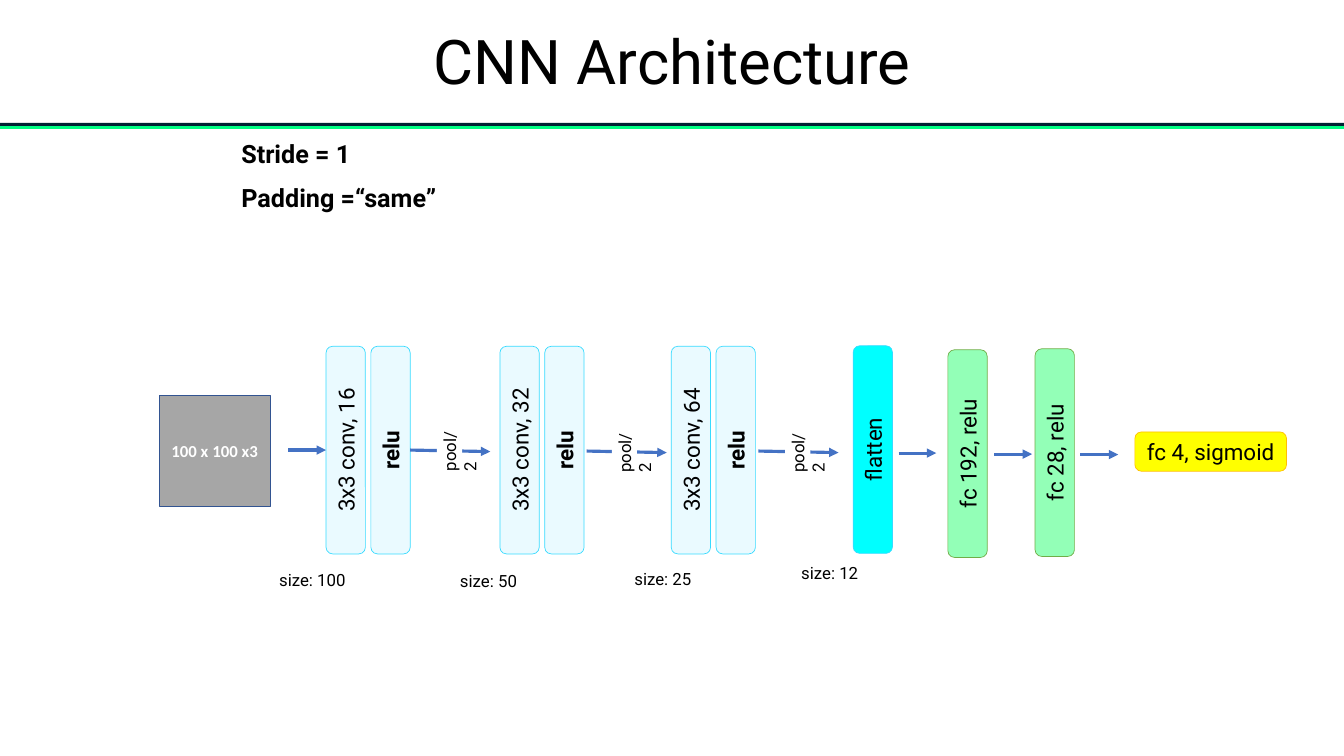
from lxml.etree import SubElement
from pptx import Presentation
from pptx.dml.color import RGBColor
from pptx.enum.shapes import MSO_CONNECTOR, MSO_SHAPE
from pptx.enum.text import MSO_ANCHOR, PP_ALIGN
from pptx.oxml.ns import qn
from pptx.util import Inches, Pt

BLOCK_W, BLOCK_H = 0.78, 4.12
CONV_Y = 8.93


def rgb(color):
    return RGBColor.from_string(color)


def add_run(p, text, size, bold=False, color="000000", font="Roboto"):
    r = p.add_run()
    r.text = text
    r.font.size = Pt(size)
    r.font.name = font
    r.font.bold = bold
    r.font.color.rgb = rgb(color)


def add_box(s, kind, x, y, w, h, fill, line=None):
    sp = s.shapes.add_shape(kind, Inches(x), Inches(y), Inches(w), Inches(h))
    sp.shadow.inherit = False
    sp.fill.solid()
    sp.fill.fore_color.rgb = rgb(fill)
    if line:
        sp.line.color.rgb = rgb(line)
        sp.line.width = Pt(1)
    else:
        sp.line.fill.background()
    return sp


def add_centered(sp, text, size, **style):
    tf = sp.text_frame
    tf.word_wrap = True
    tf.vertical_anchor = MSO_ANCHOR.MIDDLE
    p = tf.paragraphs[0]
    p.alignment = PP_ALIGN.CENTER
    add_run(p, text, size, **style)


def add_block(s, cx, cy, text, fill, line, bold=False):
    sp = add_box(s, MSO_SHAPE.ROUNDED_RECTANGLE, cx - BLOCK_H / 2, cy - BLOCK_W / 2,
                 BLOCK_H, BLOCK_W, fill, line)
    sp.rotation = 270
    add_centered(sp, text, 32, bold=bold)
    return sp


def add_label(s, x, y, w, text, rotation=0):
    sp = add_box(s, MSO_SHAPE.RECTANGLE, x, y, w, 0.5, "FFFFFF")
    sp.rotation = rotation
    tf = sp.text_frame
    tf.word_wrap = rotation != 0
    tf.vertical_anchor = MSO_ANCHOR.TOP
    p = tf.paragraphs[0]
    p.alignment = PP_ALIGN.LEFT
    add_run(p, text, 24)


def add_arrow(s, x1, y1, x2, y2, source=None, target=None):
    c = s.shapes.add_connector(MSO_CONNECTOR.STRAIGHT, 0, 0, 0, 0)
    if source is not None:
        c.begin_connect(source, 2)
    if target is not None:
        c.end_connect(target, 0)
    c.begin_x, c.begin_y = Inches(x1), Inches(y1)
    c.end_x, c.end_y = Inches(x2), Inches(y2)
    c.line.color.rgb = rgb("4472C4")
    c.line.width = Pt(4.5)
    SubElement(c.line._get_or_add_ln(), qn("a:tailEnd"), type="triangle")
    SubElement(c._element.spPr, qn("a:effectLst"))


def add_title(s, text):
    sp = s.shapes.title
    sp.left, sp.top, sp.width, sp.height = 0, 0, Inches(26.67), Inches(2.56)
    add_centered(sp, text, 88)
    sp.text_frame.paragraphs[0].line_spacing = 0.9


def add_settings(s, lines):
    tb = s.shapes.add_textbox(Inches(4.69), Inches(2.69), Inches(21.34), Inches(10.27))
    tf = tb.text_frame
    tf.word_wrap = True
    for i, text in enumerate(lines):
        p = tf.add_paragraph() if i else tf.paragraphs[0]
        if i:
            p.space_before = Pt(20)
        add_run(p, text, 36, bold=True)


def add_conv_stage(s, cx, filters):
    conv = add_block(s, cx, CONV_Y, f"3x3 conv, {filters}", "EAFAFF", "37DBFF")
    relu = add_block(s, cx + 0.89, CONV_Y, "relu", "EAFAFF", "37DBFF", bold=True)
    return conv, relu


def add_pool(s, x, y, label_x, label_y, source=None):
    add_arrow(s, x, y, x + 1.59, y + 0.03, source=source)
    add_label(s, label_x, label_y, 1.12, "pool/2", 270)


def main():
    prs = Presentation()
    prs.slide_width, prs.slide_height = Inches(26.67), Inches(15)
    s = prs.slides.add_slide(prs.slide_layouts[5])

    for y, color in [(2.5, "00FF84"), (2.44, "002333")]:
        add_box(s, MSO_SHAPE.RECTANGLE, 0, y, 26.67, 0.06, color)
    add_settings(s, ["Stride = 1", "Padding =“same”"])
    add_title(s, "CNN Architecture")

    image = add_box(s, MSO_SHAPE.RECTANGLE, 3.16, 7.84, 2.2, 2.2, "A6A6A6", "325491")
    add_centered(image, "100 x 100 x3", 24, bold=True, color="FFFFFF", font="Calibri")

    stages = [add_conv_stage(s, cx, filters)
              for cx, filters in [(6.86, 16), (10.31, 32), (13.71, 64)]]
    first_conv, first_relu = stages[0]
    add_arrow(s, 5.72, CONV_Y, 6.47, CONV_Y, target=first_conv)
    add_pool(s, 8.14, CONV_Y, 8.36, 8.64, source=first_relu)
    add_pool(s, 11.64, 8.95, 11.83, 8.67)
    add_pool(s, 15.05, 8.95, 15.27, 8.67)

    for x, y, w, size in [(5.44, 11.26, 1.55, 100), (9.03, 11.27, 1.36, 50),
                          (12.49, 11.24, 1.36, 25), (15.8, 11.12, 1.36, 12)]:
        add_label(s, x, y, w, f"size: {size}")

    add_block(s, 17.32, 8.92, "flatten", "00FFFF", "37DBFF")
    for cx, cy, units in [(19.2, 9, 192), (20.93, 8.98, 28)]:
        add_block(s, cx, cy, f"fc {units}, relu", "93FFB7", "70AD47")
    output = add_box(s, MSO_SHAPE.ROUNDED_RECTANGLE, 22.52, 8.57, 3.01, BLOCK_W,
                     "FFFF00", "FFC000")
    add_centered(output, "fc 4, sigmoid", 32)
    for x, y in [(17.83, 8.99), (19.73, 9.01), (21.44, 9.02)]:
        add_arrow(s, x, y, x + 0.75, y)

    prs.save("out.pptx")


if __name__ == "__main__":
    main()
